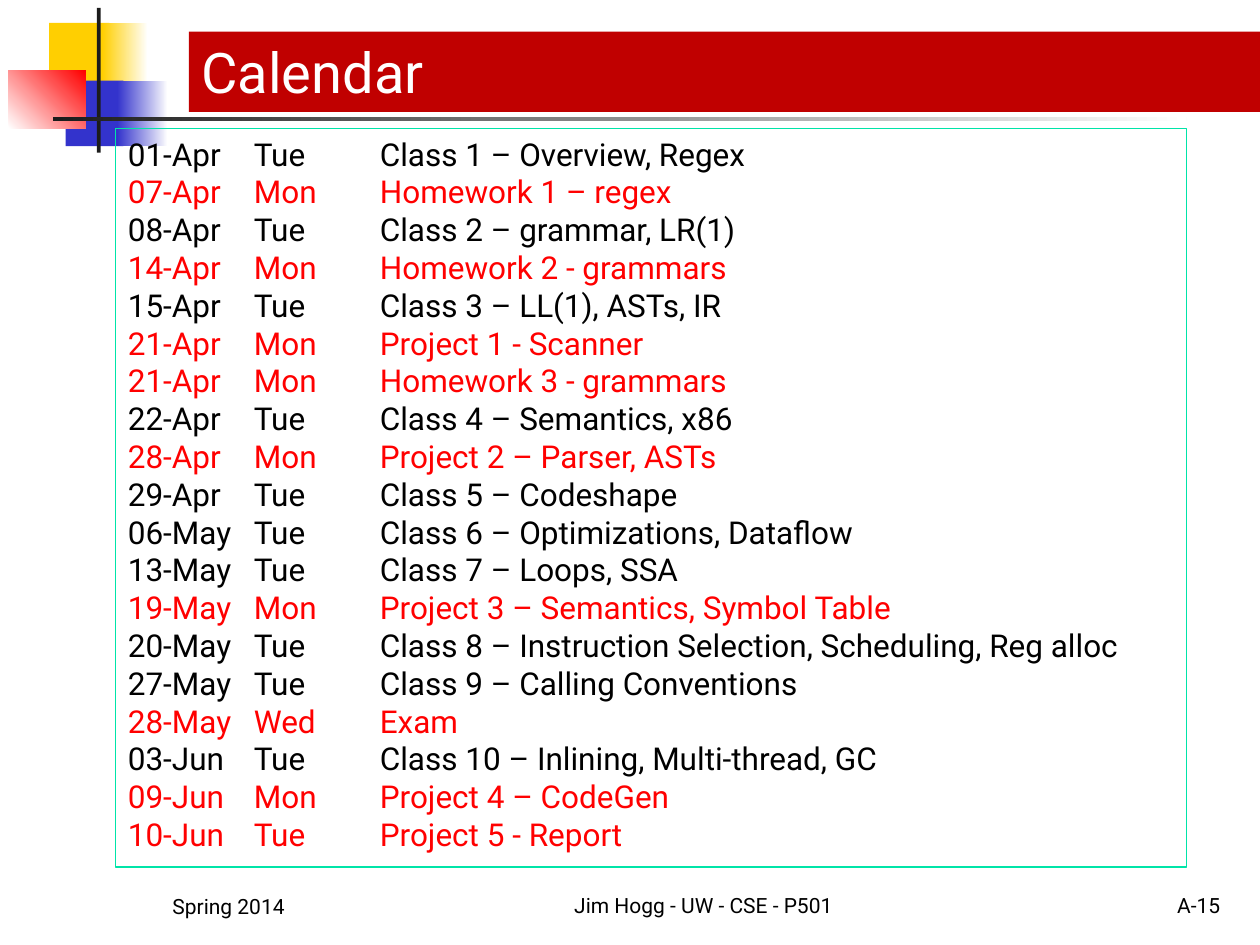
from dataclasses import dataclass

from lxml import etree
from pptx import Presentation
from pptx import util as u
from pptx.dml.color import RGBColor
from pptx.enum import shapes, text
from pptx.oxml.ns import qn


@dataclass(frozen=True)
class Theme:
    font: str = "Roboto"
    head: int = 32
    body: int = 18
    foot: int = 12
    black: str = "000000"
    white: str = "FFFFFF"
    red: str = "FF0000"
    gold: str = "FFCF01"
    blue: str = "3333CC"
    dark: str = "1C1C1C"
    band: str = "C00000"
    frame: str = "00E4A8"


THEME = Theme()
TABS = (72, 144)
ROWS = [
    ("01-Apr", "Tue", "Class 1 – Overview, Regex"),
    ("07-Apr", "Mon", "Homework 1 – regex"),
    ("08-Apr", "Tue", "Class 2 – grammar, LR(1)"),
    ("14-Apr", "Mon", "Homework 2 - grammars"),
    ("15-Apr", "Tue", "Class 3 – LL(1), ASTs, IR"),
    ("21-Apr", "Mon", "Project 1 - Scanner"),
    ("21-Apr", "Mon", "Homework 3 - grammars"),
    ("22-Apr", "Tue", "Class 4 – Semantics, x86"),
    ("28-Apr", "Mon", "Project 2 – Parser, ASTs"),
    ("29-Apr", "Tue", "Class 5 – Codeshape"),
    ("06-May", "Tue", "Class 6 – Optimizations, Dataflow"),
    ("13-May", "Tue", "Class 7 – Loops, SSA"),
    ("19-May", "Mon", "Project 3 – Semantics, Symbol Table"),
    ("20-May", "Tue", "Class 8 – Instruction Selection, Scheduling, Reg alloc"),
    ("27-May", "Tue", "Class 9 – Calling Conventions"),
    ("28-May", "Wed", "Exam"),
    ("03-Jun", "Tue", "Class 10 – Inlining, Multi-thread, GC"),
    ("09-Jun", "Mon", "Project 4 – CodeGen"),
    ("10-Jun", "Tue", "Project 5 - Report"),
]


def color(code):
    return RGBColor.from_string(code)


def add_rect(slide, area, fill=None, fade=None, angle=0, line=None):
    """Draw a rectangle: plain, fading to a second colour, or outlined."""
    rect = slide.shapes.add_shape(
        shapes.MSO_SHAPE.RECTANGLE, *(u.Pt(n) for n in area))
    rect.shadow.inherit = False
    if fade:
        rect.fill.gradient()
        rect.fill.gradient_angle = angle
        for stop, code in zip(rect.fill.gradient_stops, (fill, fade)):
            stop.color.rgb = color(code)
    elif fill:
        rect.fill.solid()
        rect.fill.fore_color.rgb = color(fill)
    else:
        rect.fill.background()
    if line:
        rect.line.color.rgb = color(line)
        rect.line.width = u.Pt(0.75)
    else:
        rect.line.fill.background()
    return rect


def set_tabs(para, stops):
    tabs = etree.SubElement(para._p.get_or_add_pPr(), qn("a:tabLst"))
    for stop in stops:
        etree.SubElement(tabs, qn("a:tab"), pos=str(u.Pt(stop)), algn="l")


def add_text(shape, words, size, ink=THEME.black, align="LEFT",
             anchor="TOP", tabs=()):
    """Add one paragraph of text to a shape."""
    frame = shape.text_frame
    frame.word_wrap = True
    frame.vertical_anchor = text.MSO_ANCHOR[anchor]
    para = frame.add_paragraph() if frame.text else frame.paragraphs[0]
    if tabs:
        set_tabs(para, tabs)
    para.alignment = text.PP_ALIGN[align]
    run = para.add_run()
    run.text = words
    run.font.name = THEME.font
    run.font.size = u.Pt(size)
    run.font.color.rgb = color(ink)


def add_motif(slide):
    t = THEME
    add_rect(slide, (28, 13, 34.5, 37.5), t.gold)
    add_rect(slide, (58.5, 13, 26, 37.5), t.gold, fade=t.white)
    add_rect(slide, (37.5, 46, 33, 37.5), t.blue)
    add_rect(slide, (67, 46, 29, 37.5), t.blue, fade=t.white)
    add_rect(slide, (5, 40.3, 44, 33.1), t.white, fade=t.red, angle=45)
    add_rect(slide, (55.4, 4.5, 2.2, 82.8), t.dark)
    add_rect(slide, (30.2, 67, 648, 2.2), t.dark, fade=t.white)


def add_foot(slide):
    parts = [
        ("Spring 2014", 91.5, 150, 23.8, "LEFT"),
        ("Jim Hogg - UW - CSE - P501", 288, 228, 23, "CENTER"),
        ("A-15", 554.4, 150, 23, "RIGHT"),
    ]
    for words, left, width, height, align in parts:
        area = (u.Pt(n) for n in (left, 504.7, width, height))
        box = slide.shapes.add_textbox(*area)
        add_text(box, words, THEME.foot, align=align, anchor="BOTTOM")


def add_dates(slide):
    box = add_rect(slide, (66, 73.4, 612, 422), line=THEME.frame)
    for row in ROWS:
        # Classes are black, anything due is red
        ink = THEME.black if row[2].startswith("Class") else THEME.red
        add_text(box, "\t".join(row), THEME.body, ink=ink, tabs=TABS)


def add_title(slide):
    band = add_rect(slide, (108, 18, 612, 46), THEME.band)
    add_text(band, "Calendar", THEME.head, ink=THEME.white)


def main():
    deck = Presentation()
    deck.slide_width, deck.slide_height = u.Pt(720), u.Pt(540)
    slide = deck.slides.add_slide(deck.slide_layouts[6])
    add_motif(slide)
    add_foot(slide)
    add_dates(slide)
    add_title(slide)
    deck.save("out.pptx")


if __name__ == "__main__":
    main()
